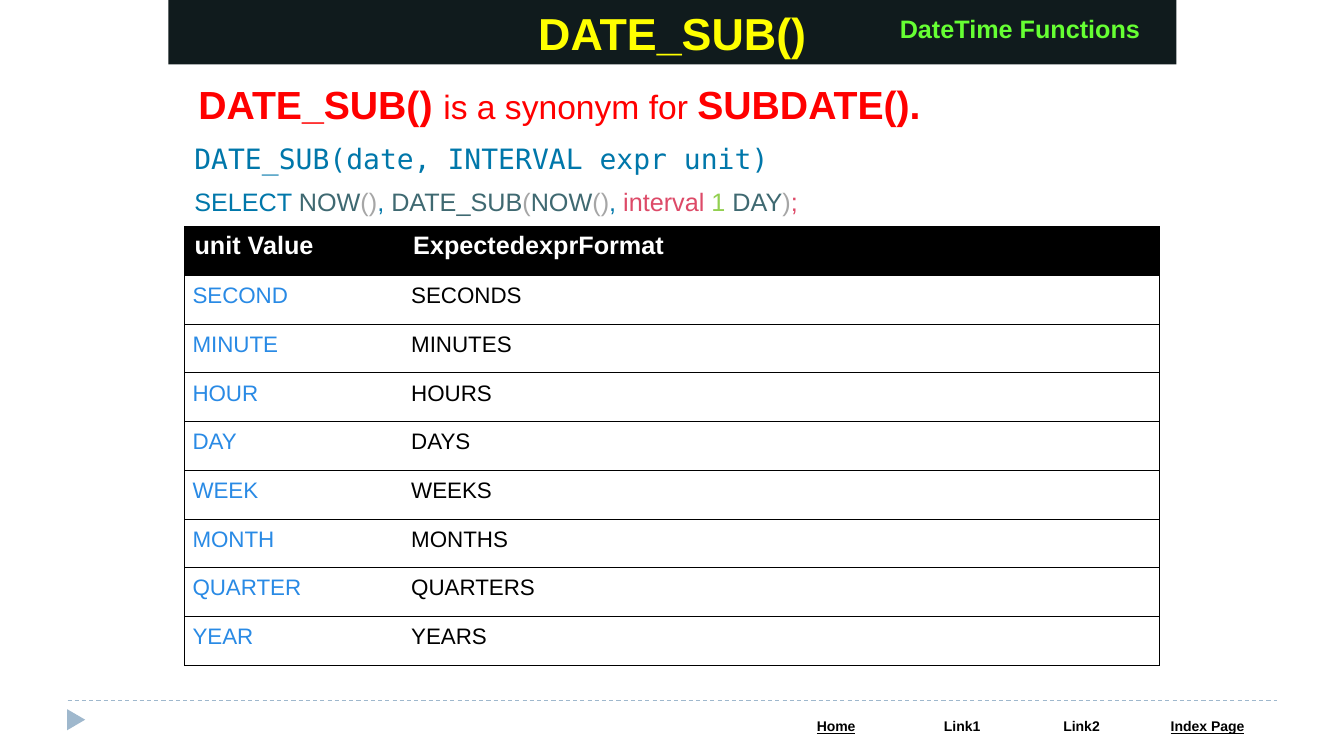
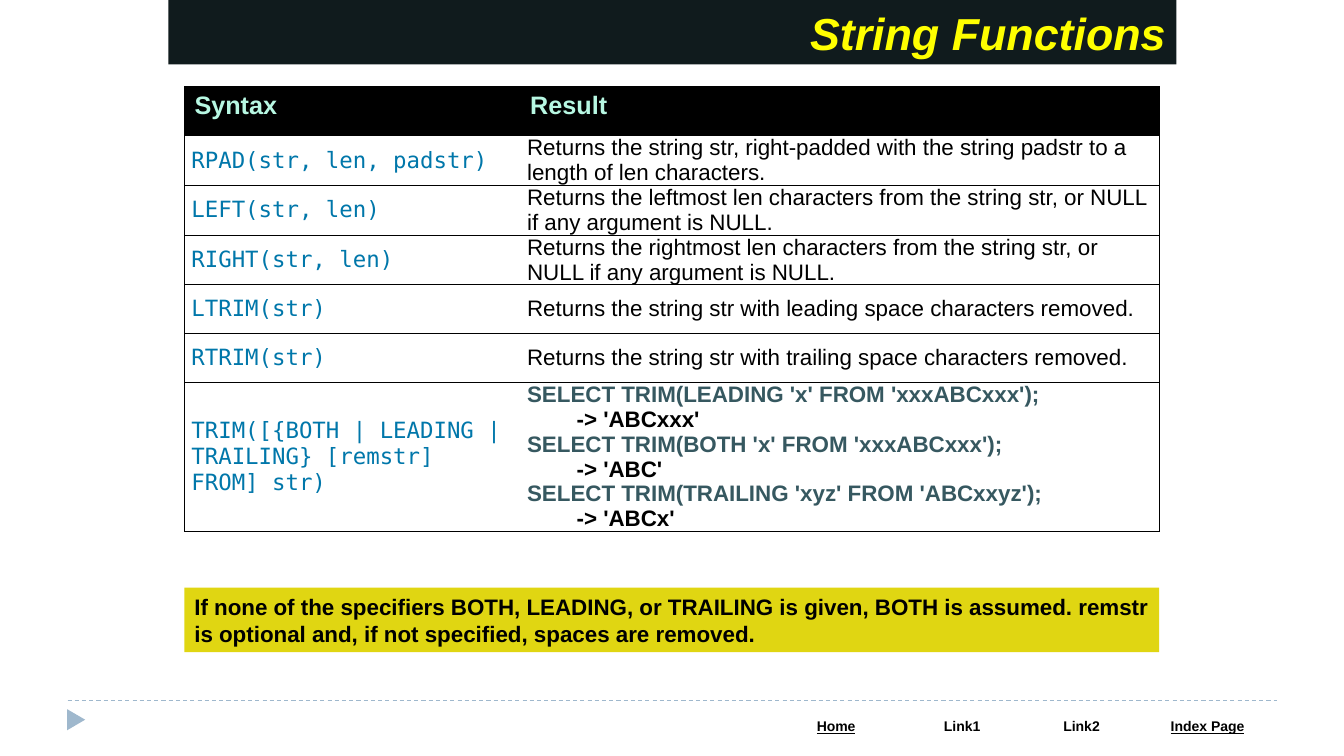
from lxml.etree import SubElement
from pptx import Presentation
from pptx.dml.color import RGBColor
from pptx.enum.dml import MSO_LINE
from pptx.enum.shapes import MSO_CONNECTOR, MSO_SHAPE
from pptx.enum.text import MSO_ANCHOR, PP_ALIGN
from pptx.oxml.ns import qn
from pptx.util import Emu, Inches, Pt

SANS, MONO = "Arial", "DejaVu Sans Mono"
C = {
    "band": "101B1D", "title": "FFFF00", "topic": "66FF33", "rule": "9FB8CD",
    "black": "000000", "white": "FFFFFF", "red": "FF0000", "unit": "298AE5",
    "code": "0077AA", "name": "3F6971", "paren": "A6A6A6", "keyword": "DD4A68",
    "number": "92D050", "mint": "B7F7E2", "query": "365860", "note": "E0D612",
}

LEFT, WIDTH, ROW = 1.83, 9.67, 4.35 / 9
BAND_LEFT, BAND_WIDTH, BAND_HEIGHT = 1.67, 10, 0.64

FOOTER = [("Home", 1.25, True), ("Link1", 1.25, False),
          ("Link2", 1.12, False), ("Index Page", 1.38, True)]

SYNONYM = [("DATE_SUB() ", 28, True), ("is a synonym for ", 24, False), ("SUBDATE().", 28, True)]
SIGNATURE = "DATE_SUB(date, INTERVAL expr unit)"
EXAMPLE = [("SELECT ", "code"), ("NOW", "name"), ("()", "paren"), (", ", "code"),
           ("DATE_SUB", "name"), ("(", "paren"), ("NOW", "name"), ("()", "paren"),
           (",", "code"), (" interval ", "keyword"), ("1 ", "number"),
           ("DAY", "name"), (")", "paren"), (";", "keyword")]
UNITS = ["SECOND", "MINUTE", "HOUR", "DAY", "WEEK", "MONTH", "QUARTER", "YEAR"]

STRING_FUNCTIONS = [
    ("RPAD(str, len, padstr)",
     "Returns the string str, right-padded with the string padstr to a length of len characters."),
    ("LEFT(str, len)",
     "Returns the leftmost len characters from the string str, or NULL if any argument is NULL."),
    ("RIGHT(str, len)",
     "Returns the rightmost len characters from the string str, or NULL if any argument is NULL."),
    ("LTRIM(str)", "Returns the string str with leading space characters removed."),
    ("RTRIM(str)", "Returns the string str with trailing space characters removed."),
    ("TRIM([{BOTH | LEADING | TRAILING} [remstr] FROM] str)",
     "SELECT TRIM(LEADING 'x' FROM 'xxxABCxxx');\n        -> 'ABCxxx'\n"
     "SELECT TRIM(BOTH 'x' FROM 'xxxABCxxx');\n        -> 'ABC'\n"
     "SELECT TRIM(TRAILING 'xyz' FROM 'ABCxxyz');\n        -> 'ABCx'"),
]
NOTE = ("If none of the specifiers BOTH, LEADING, or TRAILING is given, BOTH is assumed. "
        "remstr is optional and, if not specified, spaces are removed.")


def rgb(color):
    return RGBColor.from_string(C[color])


def box(*inches):
    return [Inches(v) for v in inches]


def style(run, size, color, bold=False, font=SANS, italic=False, underline=False):
    f = run.font
    f.name, f.size, f.bold, f.italic, f.underline = font, Pt(size), bold, italic, underline
    f.color.rgb = rgb(color)


def write(tf, text, size, color, align=PP_ALIGN.LEFT, **look):
    tf.text = text
    for p in tf.paragraphs:
        p.alignment = align
        for r in p.runs:
            style(r, size, color, **look)


def add_filled(s, kind, fill, at):
    sp = s.shapes.add_shape(kind, *box(*at))
    sp.shadow.inherit = False
    sp.fill.solid()
    sp.fill.fore_color.rgb = rgb(fill)
    sp.line.fill.background()
    return sp


def add_text(s, *at, wrap=True):
    tf = s.shapes.add_textbox(*box(*at)).text_frame
    tf.word_wrap = wrap
    return tf


def add_runs(tf, runs):
    """Fill one paragraph with (text, size, color, bold) runs."""
    for text, size, color, bold in runs:
        r = tf.paragraphs[0].add_run()
        r.text = text
        style(r, size, color, bold)


def set_border(cell, side, color=None, width=0.75):
    ln = SubElement(cell._tc.get_or_add_tcPr(), qn("a:ln" + side), w=str(Pt(width)))
    if color:
        SubElement(SubElement(ln, qn("a:solidFill")), qn("a:srgbClr"), val=C[color])
    else:
        SubElement(ln, qn("a:noFill"))


def add_grid(s, left, top, cols, rows, border, fills, margins):
    """Add a table ruled between rows and around its edge; fills and margins: header, body."""
    table = s.shapes.add_table(len(rows), len(cols),
                               *box(left, top, sum(cols), sum(rows))).table
    table.horz_banding = table.first_row = False
    for col, width in zip(table.columns, cols):
        col.width = Inches(width)
    for i, height in enumerate(rows):
        table.rows[i].height = Inches(height)
        for j, cell in enumerate(table.rows[i].cells):
            set_border(cell, "L", border if j == 0 else None)
            set_border(cell, "R", border if j == len(cols) - 1 else None)
            set_border(cell, "T", border)
            set_border(cell, "B", border)
            cell.fill.solid()
            cell.fill.fore_color.rgb = rgb(fills[i > 0])
            x, y = box(*margins[i > 0])
            cell.margin_left = cell.margin_right = x
            cell.margin_top = cell.margin_bottom = y
    return table


def add_reference(s, top, cols, rows, header, header_color, body_margin):
    table = add_grid(s, LEFT, top, cols, rows, "black", ("black", "white"),
                     ((0.1, 0.05), body_margin))
    for cell, text in zip(table.rows[0].cells, header):
        write(cell.text_frame, text, 18, header_color, bold=True)
    return table


def add_footer(s):
    add_filled(s, MSO_SHAPE.ISOSCELES_TRIANGLE, "rule", (0.65, 7.05, 0.21, 0.18)).rotation = 90
    rule = s.shapes.add_connector(MSO_CONNECTOR.STRAIGHT, *box(0.67, 6.95, 12.67, 6.95))
    rule.line.color.rgb = rgb("rule")
    rule.line.width = Pt(0.75)
    rule.line.dash_style = MSO_LINE.DASH
    SubElement(rule._element.spPr, qn("a:effectLst"))
    table = add_grid(s, 7.67, 7.08, [w for _, w, _ in FOOTER], [0.27], "white",
                     ("white",), ((0.13, 0.05),))
    for cell, (text, _, underline) in zip(table.rows[0].cells, FOOTER):
        write(cell.text_frame, text, 10, "black", PP_ALIGN.CENTER, bold=True, underline=underline)


def new_slide(prs, title, align, italic=False):
    s = prs.slides.add_slide(prs.slide_layouts[6])
    add_footer(s)
    band = add_filled(s, MSO_SHAPE.RECTANGLE, "band", (BAND_LEFT, 0, BAND_WIDTH, BAND_HEIGHT))
    write(band.text_frame, title, 32, "title", align, bold=True, italic=italic)
    return s


def build_date_sub(prs):
    s = new_slide(prs, "DATE_SUB()", PP_ALIGN.CENTER)
    write(add_text(s, 8.8, 0.08, 2.61, 0.4, wrap=False), "DateTime Functions", 18, "topic",
          PP_ALIGN.RIGHT, bold=True)
    add_runs(add_text(s, 1.87, 0.75, 9.54, 0.57),
             [(text, size, "red", bold) for text, size, bold in SYNONYM])
    write(add_text(s, LEFT, 1.35, 9.57, 0.44), SIGNATURE, 20, "code", font=MONO)
    add_runs(add_text(s, LEFT, 1.8, WIDTH, 0.4),
             [(text, 18, color, False) for text, color in EXAMPLE])
    table = add_reference(s, 2.25, (2.17, 7.5), [ROW] * (len(UNITS) + 1),
                          ("unit Value", "ExpectedexprFormat"), "white", (0.08, 0.08))
    for i, unit in enumerate(UNITS, 1):
        write(table.cell(i, 0).text_frame, unit, 16, "unit")
        write(table.cell(i, 1).text_frame, unit + "S", 16, "black")


def build_string_functions(prs):
    s = new_slide(prs, "String Functions", PP_ALIGN.RIGHT, italic=True)
    table = add_reference(s, 0.86, (3.33, 6.34), [ROW] * len(STRING_FUNCTIONS) + [1.48],
                          ("Syntax", "Result"), "mint", (0.07, 0))
    for i, (syntax, result) in enumerate(STRING_FUNCTIONS, 1):
        call, answer = table.rows[i].cells
        call.vertical_anchor = answer.vertical_anchor = MSO_ANCHOR.MIDDLE
        write(call.text_frame, syntax, 16, "code", font=MONO)
        write(answer.text_frame, result, 16, "black", bold="\n" in result)
        for p in answer.text_frame.paragraphs:
            if p.text.startswith("SELECT"):
                p.runs[0].font.color.rgb = rgb("query")
    note = add_filled(s, MSO_SHAPE.RECTANGLE, "note", (LEFT, 5.83, WIDTH, 0.64))
    write(note.text_frame, NOTE, 16, "black", bold=True)


def main():
    prs = Presentation()
    prs.slide_width, prs.slide_height = Emu(12192000), Inches(7.5)
    build_date_sub(prs)
    build_string_functions(prs)
    prs.save("out.pptx")


if __name__ == "__main__":
    main()
